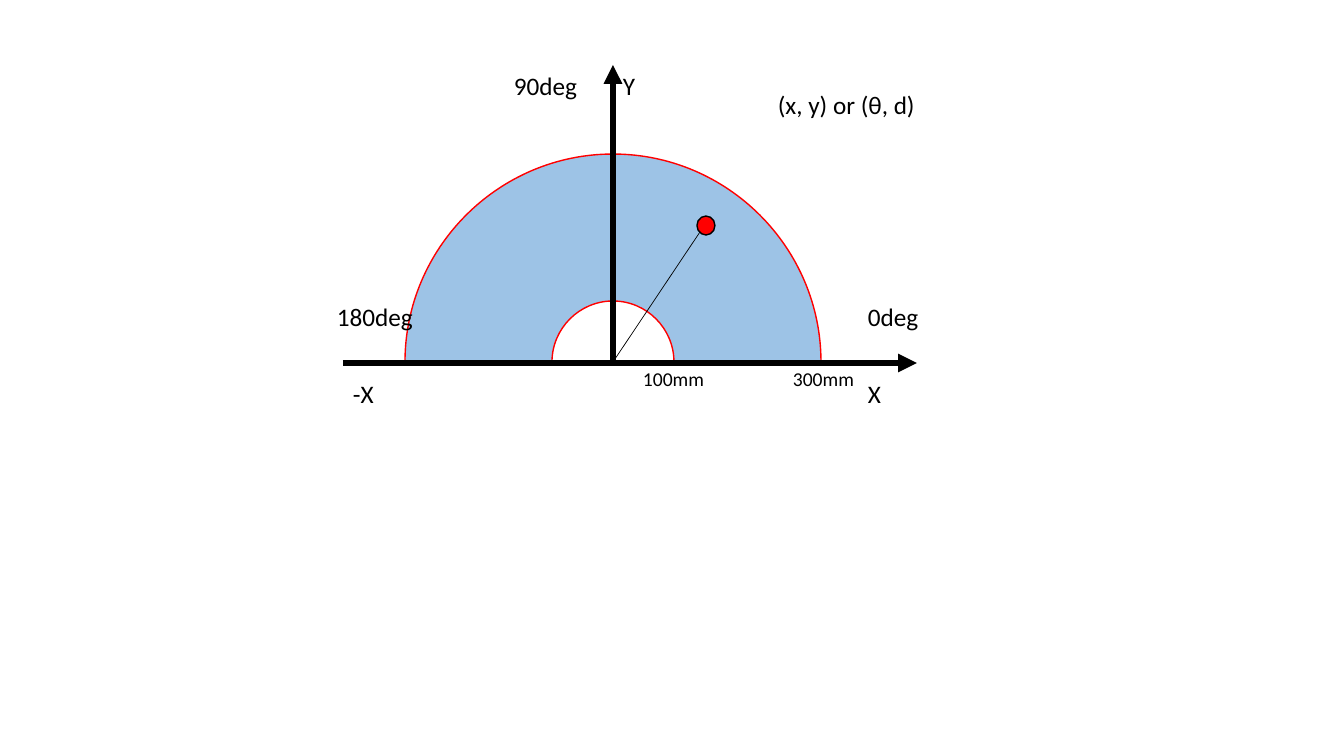
from pptx import Presentation, util as u
from pptx.dml.color import RGBColor
from pptx.enum import shapes, text
from pptx.oxml.ns import qn
from lxml import etree

SCALE = 914400 / 100.8
BLACK, RED, BLUE = "000000", "FF0000", "9DC3E6"
ORIGIN_X, ORIGIN_Y = 613, 362
OUTER_RADIUS, INNER_RADIUS = 208, 61
QUARTER_ARC = 0.55
LABELS = [
    ("X", 858, 373, 42, 59, 18),
    ("-X", 343, 373, 65, 59, 18),
    ("Y", 613, 65, 65, 59, 18),
    ("0deg", 858, 296, 85, 40, 18),
    ("180deg", 327, 296, 163, 40, 18),
    ("90deg", 504, 65, 163, 40, 18),
    ("(x, y) or (θ, d)", 768, 84, 170, 40, 18),
    ("100mm", 633, 362, 90, 34, 14),
    ("300mm", 783, 362, 90, 34, 14),
]


def emu(*pixels):
    return [u.Emu(round(pixel * SCALE)) for pixel in pixels]


def color(value):
    return RGBColor.from_string(value)


def style_shape(shape, fill, line, width):
    shape.shadow.inherit = False
    shape.fill.solid()
    shape.fill.fore_color.rgb = color(fill)
    shape.line.color.rgb = color(line)
    shape.line.width = u.Pt(width)


def bend_quarters(shape):
    start = None
    for point in list(shape._element.spPr.iter(qn("a:pt"))):
        end = int(point.get("x")), int(point.get("y"))
        if start and start[1] != end[1]:
            lower, upper = sorted((start, end), key=lambda place: -place[1])
            corner = lower[0], upper[1]
            segment = point.getparent()
            segment.tag = qn("a:cubicBezTo")
            for place in (start, end):
                x, y = (round(p + QUARTER_ARC * (c - p)) for p, c in zip(place, corner))
                point.addprevious(etree.Element(qn("a:pt"), x=str(x), y=str(y)))
        start = end


def add_half_ring(group):
    top = ORIGIN_X, ORIGIN_Y - OUTER_RADIUS
    outline = [
        (ORIGIN_X + OUTER_RADIUS, ORIGIN_Y),
        (ORIGIN_X + INNER_RADIUS, ORIGIN_Y),
        (ORIGIN_X, ORIGIN_Y - INNER_RADIUS),
        (ORIGIN_X - INNER_RADIUS, ORIGIN_Y),
        (ORIGIN_X - OUTER_RADIUS, ORIGIN_Y),
        top,
    ]
    builder = group.shapes.build_freeform(*emu(*top))
    builder.add_line_segments([emu(*point) for point in outline], close=True)
    ring = builder.convert_to_shape()
    bend_quarters(ring)
    style_shape(ring, BLUE, RED, 1)


def add_line(group, start, end, width, arrow=False):
    connector = group.shapes.add_connector(
        shapes.MSO_CONNECTOR.STRAIGHT, *emu(*start, *end))
    connector.line.color.rgb = color(BLACK)
    connector.line.width = u.Pt(width)
    if arrow:
        properties = connector._element.spPr.find(qn("a:ln"))
        etree.SubElement(properties, qn("a:tailEnd"), type="triangle")
    etree.SubElement(connector._element.spPr, qn("a:effectLst"))


def add_label(group, label, left, top, width, height, size):
    box = group.shapes.add_textbox(*emu(left, top, width, height))
    frame = box.text_frame
    frame.word_wrap = True
    frame.auto_size = text.MSO_AUTO_SIZE.SHAPE_TO_FIT_TEXT
    frame.text = label
    font = frame.paragraphs[0].runs[0].font
    font.name = "Calibri"
    font.size = u.Pt(size)
    font.color.rgb = color(BLACK)


def add_target(group):
    target = group.shapes.add_shape(
        shapes.MSO_SHAPE.OVAL, *emu(697, 216, 18, 19))
    style_shape(target, RED, BLACK, 1)


def main():
    presentation = Presentation()
    presentation.slide_width, presentation.slide_height = emu(1344, 756)
    slide = presentation.slides.add_slide(presentation.slide_layouts[6])
    diagram = slide.shapes.add_group_shape()
    add_half_ring(diagram)
    add_line(diagram, (343, 363), (917, 363), 4.5, arrow=True)
    add_line(diagram, (ORIGIN_X, 363), (ORIGIN_X, 65), 4.5, arrow=True)
    for label in LABELS[:6]:
        add_label(diagram, *label)
    add_target(diagram)
    add_line(diagram, (700, 232), (ORIGIN_X, ORIGIN_Y), 0.5)
    for label in LABELS[6:]:
        add_label(diagram, *label)
    presentation.save("out.pptx")


main()
